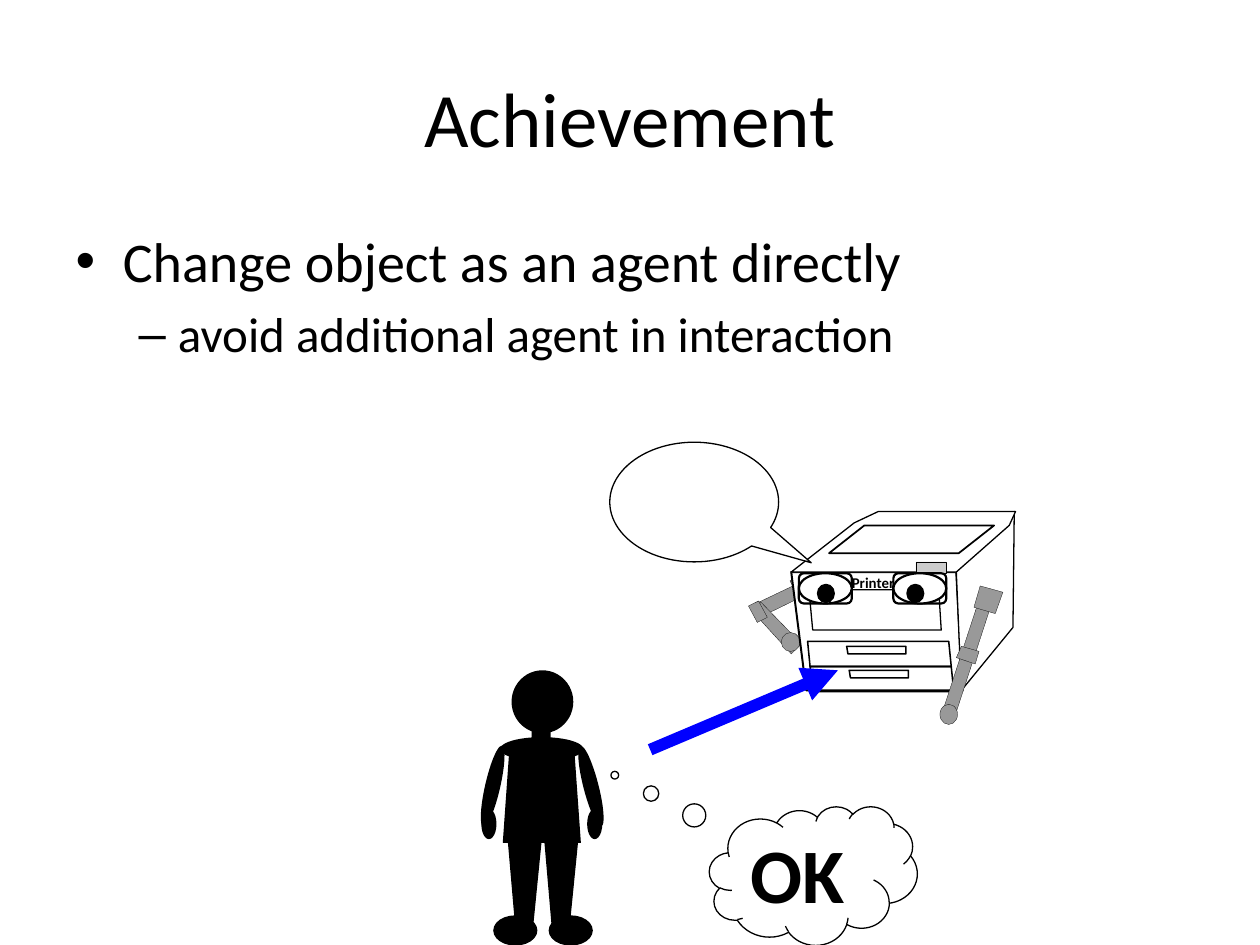
from dataclasses import dataclass
from typing import Any, Optional

import lxml.etree
import pptx
import pptx.dml.color
import pptx.enum.shapes
import pptx.enum.text
import pptx.oxml.ns
import pptx.shapes.shapetree
import pptx.util

Inches = pptx.util.Inches
Kind = pptx.enum.shapes.MSO_SHAPE
Align = pptx.enum.text.PP_ALIGN
Anchor = pptx.enum.text.MSO_ANCHOR
qn = pptx.oxml.ns.qn


@dataclass(frozen=True)
class Theme:
    font: str = "Calibri"
    ink: str = "000000"
    paper: str = "FFFFFF"
    limb: str = "999999"
    button: str = "CCCCCC"
    arrow: str = "0000FF"
    title_size: float = 44
    bullet_size: float = 32
    sub_bullet_size: float = 28
    label_size: float = 8.5
    hairline: float = 0.13
    thin: float = 0.75
    medium: float = 0.88
    thick: float = 1.25
    arrow_width: float = 6.75


THEME = Theme()


@dataclass(frozen=True)
class Paint:
    fill: Optional[str] = None
    line: Optional[float] = None


@dataclass(frozen=True)
class Polygon:
    points: tuple[tuple[float, float], ...]
    paint: Paint

    def moved(self, dx: float, dy: float = 0) -> "Polygon":
        return Polygon(tuple((x + dx, y + dy) for x, y in self.points), self.paint)


@dataclass(frozen=True)
class Preset:
    kind: Any
    box: tuple[float, float, float, float]
    paint: Paint
    rotation: float = 0

    def moved(self, dx: float, rotation: float = 0) -> "Preset":
        left, top, width, height = self.box
        return Preset(self.kind, (left + dx, top, width, height), self.paint, rotation)


LIMB = Paint(THEME.limb, THEME.hairline)
PANEL = Paint(THEME.paper, THEME.thin)
OUTLINE = Paint(None, THEME.medium)
BODY = Paint(THEME.ink)
FOOT = Paint(THEME.ink, THEME.thin)

DRAWER = Polygon(((6.41, 5.09), (7.53, 5.09), (7.55, 5.29), (6.43, 5.29)), OUTLINE)
HANDLE = Polygon(((6.72, 5.13), (7.19, 5.13), (7.19, 5.19), (6.73, 5.19)), OUTLINE)
SOCKET = Preset(Kind.ROUNDED_RECTANGLE, (6.34, 4.55, 0.42, 0.24), Paint(None, THEME.thick))
EYE = Preset(Kind.OVAL, (6.34, 4.55, 0.42, 0.24), Paint(THEME.paper, THEME.thick))
PUPIL = Preset(Kind.OVAL, (6.49, 4.64, 0.13, 0.14), Paint(THEME.ink, 1))
EYE_GAP, PUPIL_GAP = 0.75, 0.71

PRINTER_CASE = [
    # left arm: upper arm, shoulder, forearm, elbow, hand
    Polygon(((5.98, 4.8), (6.03, 4.9), (6.44, 4.7), (6.4, 4.6)), LIMB),
    Polygon(((6.27, 4.61), (6.35, 4.77), (6.49, 4.7), (6.41, 4.54)), LIMB),
    Polygon(((6.04, 4.78), (5.97, 4.85), (6.28, 5.19), (6.36, 5.11)), LIMB),
    Polygon(((5.94, 4.81), (6.01, 4.94), (6.09, 4.9), (6.02, 4.77)), LIMB),
    Preset(Kind.OVAL, (6.2, 5.02, 0.15, 0.15), LIMB),
    # front, paper tray, side, top and scanner glass
    Polygon(((6.28, 4.54), (7.59, 4.54), (7.64, 5.48), (6.4, 5.48)), Paint(THEME.paper, 1.13)),
    DRAWER,
    HANDLE,
    Polygon(((6.42, 4.68), (7.45, 4.68), (7.47, 5), (6.45, 5)), Paint(None, THEME.thin)),
    Polygon(((8.05, 4.06), (7.59, 4.54), (7.63, 5.48), (8.04, 4.98)), PANEL),
    Polygon(((6.97, 4.06), (6.78, 4.15), (6.28, 4.54), (7.59, 4.54), (8.01, 4.17),
             (8.06, 4.06)), PANEL),
    Polygon(((6.86, 4.17), (7.89, 4.17), (7.61, 4.39), (6.58, 4.39)), Paint(None, 1)),
    Preset(Kind.RECTANGLE, (7.27, 4.46, 0.24, 0.09), Paint(THEME.button, THEME.hairline)),
]

PRINTER_FACE = [
    DRAWER.moved(0.02, 0.2),
    HANDLE.moved(0.02, 0.19),
    SOCKET, SOCKET.moved(EYE_GAP),
    EYE, EYE.moved(EYE_GAP),
    PUPIL, PUPIL.moved(PUPIL_GAP),
    # right arm: arm, shoulder, elbow, hand
    Polygon(((7.59, 5.65), (7.49, 5.62), (7.79, 4.7), (7.89, 4.73)), LIMB),
    Polygon(((7.9, 4.87), (7.73, 4.82), (7.78, 4.65), (7.96, 4.7)), LIMB),
    Polygon(((7.74, 5.27), (7.59, 5.22), (7.63, 5.13), (7.77, 5.17)), LIMB),
    Preset(Kind.OVAL, (7.46, 5.59, 0.14, 0.16), LIMB),
]

ARM = Preset(Kind.OVAL, (3.85, 5.91, 0.12, 0.66), BODY, 12.9)
HAND = Preset(Kind.OVAL, (3.82, 6.42, 0.12, 0.24), BODY)
LEG = Polygon(((4.02, 6.56), (4.09, 7.37), (4.23, 7.37), (4.31, 6.56)), BODY)
SHOE = Preset(Kind.OVAL, (3.92, 7.27, 0.34, 0.23), FOOT)

PERSON = [
    Preset(Kind.OVAL, (4.06, 5.32, 0.49, 0.5), BODY),
    Preset(Kind.OVAL, (3.97, 5.85, 0.66, 0.19), BODY),
    Preset(Kind.RECTANGLE, (4.22, 5.79, 0.15, 0.18), BODY),
    Polygon(((3.99, 6.69), (4.04, 5.98), (4.56, 5.98), (4.61, 6.69)), BODY),
    ARM, ARM.moved(0.78, -14.4),
    HAND, HAND.moved(0.84),
    LEG, LEG.moved(0.29),
    SHOE, SHOE.moved(0.44),
]


def rgb(code: str) -> pptx.dml.color.RGBColor:
    return pptx.dml.color.RGBColor.from_string(code)


def apply_paint(shape: Any, paint: Paint) -> None:
    shape.shadow.inherit = False
    if paint.fill is None:
        shape.fill.background()
    else:
        shape.fill.solid()
        shape.fill.fore_color.rgb = rgb(paint.fill)
    if paint.line is None:
        shape.line.fill.background()
    else:
        shape.line.color.rgb = rgb(THEME.ink)
        shape.line.width = pptx.util.Pt(paint.line)


def draw(shapes: Any, part: Polygon | Preset) -> Any:
    if isinstance(part, Polygon):
        start, *others = [(Inches(x), Inches(y)) for x, y in part.points]
        outline = shapes.build_freeform(*start)
        outline.add_line_segments(others, close=True)
        shape = outline.convert_to_shape()
    else:
        shape = shapes.add_shape(part.kind, *map(Inches, part.box))
        shape.rotation = part.rotation
    apply_paint(shape, part.paint)
    return shape


def write(paragraph: Any, text: str, size: float, bold: bool = False) -> None:
    paragraph.text = text
    formats = {"name": THEME.font, "size": pptx.util.Pt(size), "bold": bold}
    for name, value in formats.items():
        setattr(paragraph.font, name, value)
    paragraph.font.color.rgb = rgb(THEME.ink)


def place(shape: Any, *box: float) -> None:
    for side, length in zip(("left", "top", "width", "height"), box):
        setattr(shape, side, Inches(length))


def draw_printer(shapes: pptx.shapes.shapetree.GroupShapes) -> None:
    for part in PRINTER_CASE:
        draw(shapes, part)
    label = shapes.add_textbox(*map(Inches, (6.63, 4.54, 0.6, 0.16))).text_frame
    frame_formats = {"margin_left": 0, "margin_right": 0, "margin_top": 0,
                     "margin_bottom": 0, "vertical_anchor": Anchor.MIDDLE}
    for name, value in frame_formats.items():
        setattr(label, name, value)
    write(label.paragraphs[0], "Printer", THEME.label_size, bold=True)
    label.paragraphs[0].alignment = Align.CENTER
    for part in PRINTER_FACE:
        draw(shapes, part)


def draw_arrow(shapes: Any) -> None:
    arrow = shapes.add_connector(pptx.enum.shapes.MSO_CONNECTOR.STRAIGHT,
                                 *map(Inches, (5.16, 5.95, 6.65, 5.32)))
    arrow.line.color.rgb = rgb(THEME.arrow)
    arrow.line.width = pptx.util.Pt(THEME.arrow_width)
    properties = arrow._element.spPr
    lxml.etree.SubElement(properties.find(qn("a:ln")), qn("a:tailEnd"), type="triangle")
    lxml.etree.SubElement(properties, qn("a:effectLst"))


def draw_callouts(shapes: Any) -> None:
    speech = draw(shapes, Preset(Kind.OVAL_CALLOUT, (4.84, 3.51, 1.34, 0.95), PANEL))
    thought = draw(shapes, Preset(Kind.CLOUD_CALLOUT, (5.63, 6.4, 1.65, 1.1), PANEL))
    for callout, tip in ((speech, (0.693, 0.507)), (thought, (-0.955, -0.725))):
        callout.adjustments[0], callout.adjustments[1] = tip
    speech_color = speech._element.spPr.find(qn("a:solidFill"))[0]
    lxml.etree.SubElement(speech_color, qn("a:alpha"), val="80000")
    thought.text_frame.vertical_anchor = Anchor.MIDDLE
    answer = thought.text_frame.paragraphs[0]
    write(answer, "OK", THEME.title_size, bold=True)
    answer.alignment = Align.LEFT


def main() -> None:
    deck = pptx.Presentation()
    deck.slide_width, deck.slide_height = Inches(10), Inches(7.5)
    slide = deck.slides.add_slide(deck.slide_layouts[1])

    title, body = slide.shapes.title, slide.placeholders[1]
    place(title, 0.5, 0.3, 9, 1.25)
    write(title.text_frame.paragraphs[0], "Achievement", THEME.title_size)
    place(body, 0.5, 1.75, 9, 4.95)
    claim = body.text_frame.paragraphs[0]
    write(claim, "Change object as an agent directly", THEME.bullet_size)
    claim.space_before = 0
    reason = body.text_frame.add_paragraph()
    reason.level = 1
    write(reason, "avoid additional agent in interaction", THEME.sub_bullet_size)

    draw_printer(slide.shapes.add_group_shape().shapes)
    person = slide.shapes.add_group_shape().shapes
    for part in PERSON:
        draw(person, part)
    draw_arrow(slide.shapes)
    draw_callouts(slide.shapes)
    deck.save("out.pptx")


if __name__ == "__main__":
    main()
